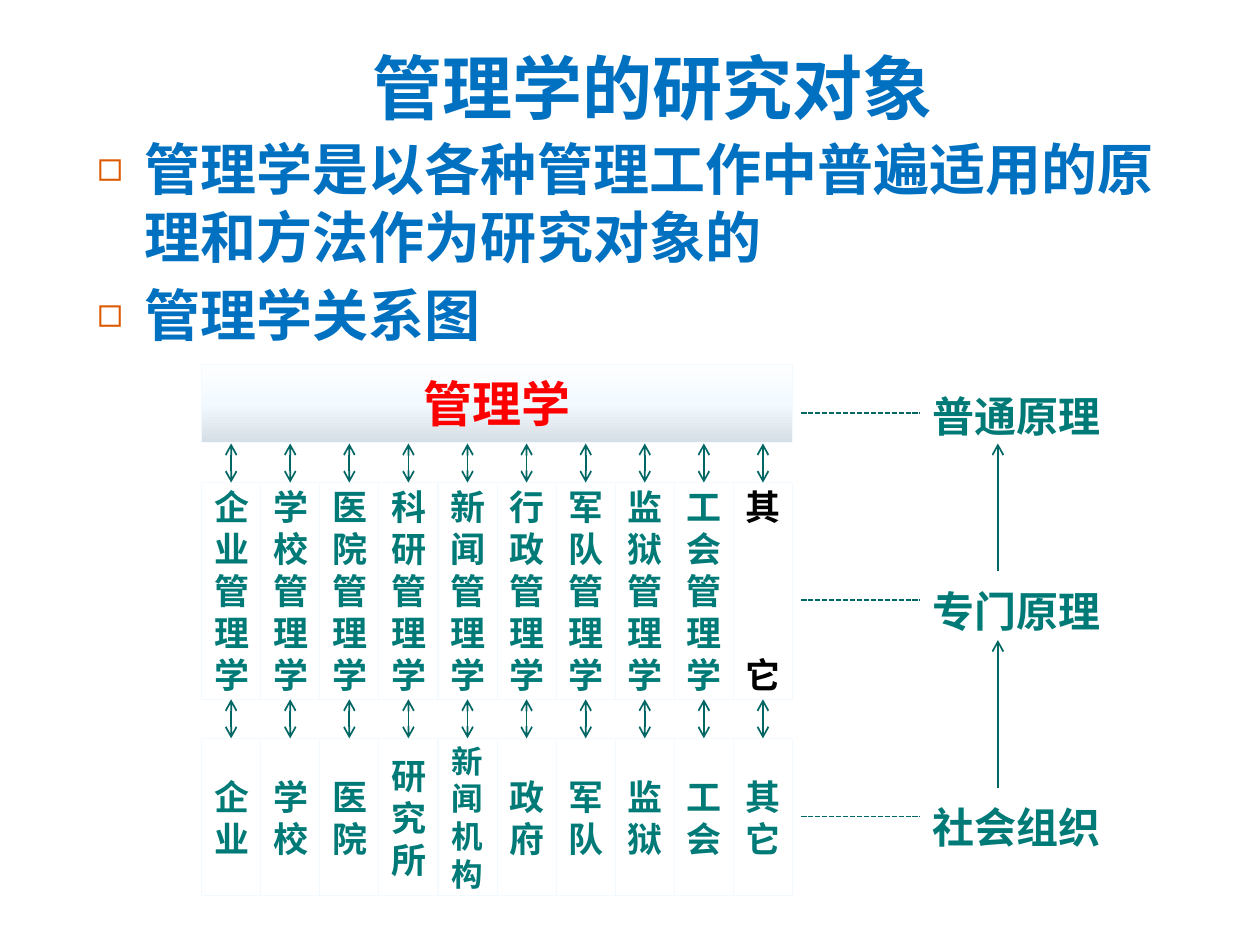
from copy import deepcopy

from lxml import etree
from pptx import Presentation
from pptx.dml.color import RGBColor
from pptx.enum import dml, shapes, text
from pptx.oxml.ns import qn
from pptx.util import Inches, Pt

BLUE = RGBColor(0x00, 0x70, 0xC0)
TEAL = RGBColor(0x00, 0x7A, 0x77)
DARK_TEAL = RGBColor(0x00, 0x67, 0x65)
RED = RGBColor(0xFF, 0x00, 0x00)
BLACK = RGBColor(0x00, 0x00, 0x00)
WHITE = RGBColor(0xFF, 0xFF, 0xFF)
PALE = RGBColor(0xF3, 0xFA, 0xFF)
BAR_STOPS = [(0, RGBColor(0xFD, 0xFE, 0xFF)), (0.5, PALE), (1, RGBColor(0xD6, 0xDF, 0xE5))]
CJK = "Noto Sans CJK SC"
CENTER, LEFT = text.PP_ALIGN.CENTER, text.PP_ALIGN.LEFT


def write(paragraph, words, size, color, align=LEFT, font=CJK):
    """Add one bold run, with a fixed line pitch of 1.2 times its size."""
    paragraph.alignment = align
    paragraph.line_spacing = Pt(round(size * 1.2, 1))
    run = paragraph.add_run()
    run.text = words
    run.font.size, run.font.bold, run.font.name = Pt(size), True, font
    run.font.color.rgb = color
    etree.SubElement(run.font._element, qn("a:ea"), typeface=CJK)


def connect(x1, y1, x2, y2, arrows=(), dash=None):
    """Draw a thin line; arrows names the ends (headEnd, tailEnd) that get a tip."""
    link = slide.shapes.add_connector(
        shapes.MSO_CONNECTOR.STRAIGHT, Inches(x1), Inches(y1), Inches(x2), Inches(y2))
    link.line.color.rgb = DARK_TEAL
    link.line.width = Pt(1)
    if dash:
        link.line.dash_style = dash
    for end in arrows:
        etree.SubElement(link.line._get_or_add_ln(), qn(f"a:{end}"), type="arrow")
    etree.SubElement(link._element.spPr, qn("a:effectLst"))


prs = Presentation()
prs.slide_width, prs.slide_height = Inches(10), Inches(7.5)
slide = prs.slides.add_slide(prs.slide_layouts[1])

# Title and list
title, points = slide.shapes.title, slide.placeholders[1]
title.left, title.top, title.width, title.height = map(Inches, (0.75, 0.3, 8.36, 0.77))
points.left, points.top, points.width, points.height = map(Inches, (0.67, 1.02, 8.66, 1.88))
for holder in (title, points):
    holder.text_frame.auto_size = text.MSO_AUTO_SIZE.NONE
heading = title.text_frame.paragraphs[0]
heading._p.get_or_add_pPr().set("marL", str(Inches(0.5)))
write(heading, "管理学的研究对象", 40, BLUE, CENTER)

for i, point in enumerate(["管理学是以各种管理工作中普遍适用的原理和方法作为研究对象的", "管理学关系图"]):
    item = points.text_frame.add_paragraph() if i else points.text_frame.paragraphs[0]
    props = item._p.get_or_add_pPr()
    props.set("marL", str(Inches(0.38)))
    props.set("indent", str(Inches(-0.38)))
    etree.SubElement(etree.SubElement(props, qn("a:buClr")), qn("a:srgbClr"), val="DC5900")
    etree.SubElement(props, qn("a:buSzPct"), val="75000")
    etree.SubElement(props, qn("a:buChar"), char="◻")
    item.space_before = Pt(6.4 if i else 0)
    write(item, point, 32, BLUE, font="Arial")

# Boxes: one wide bar above two rows of ten cells
GRID_LEFT, CELL_WIDTH = 1.6, 0.469
BAR_TOP, FIELD_TOP, ORG_TOP = 2.89, 3.83, 5.86
BAR_HEIGHT, FIELD_HEIGHT, ORG_HEIGHT = 0.62, 1.72, 1.25
fields = ["企业管理学", "学校管理学", "医院管理学", "科研管理学", "新闻管理学",
          "行政管理学", "军队管理学", "监狱管理学", "工会管理学", "其它"]
organisations = ["企业", "学校", "医院", "研究所", "新闻机构",
                 "政府", "军队", "监狱", "工会", "其它"]

boxes = [(GRID_LEFT, BAR_TOP, 10 * CELL_WIDTH, BAR_HEIGHT, ["管理学"], 28, RED, "Arial")]
for top, height, names in ((FIELD_TOP, FIELD_HEIGHT, fields), (ORG_TOP, ORG_HEIGHT, organisations)):
    for column, name in enumerate(names):
        spread = names is fields and name == "其它"
        boxes.append((GRID_LEFT + column * CELL_WIDTH, top, CELL_WIDTH, height,
                      list(name) if spread else [name], 18 if name == "新闻机构" else 20,
                      BLACK if spread else TEAL, CJK))

for left, top, width, height, parts, size, color, font in boxes:
    box = slide.shapes.add_shape(
        shapes.MSO_SHAPE.RECTANGLE, Inches(left), Inches(top), Inches(width), Inches(height))
    box.shadow.inherit = False
    box.line.color.rgb = PALE
    box.line.width = Pt(0.5)
    if top == BAR_TOP:
        box.fill.gradient()
        box.fill.gradient_angle = 270
        stops = box._element.spPr.find(".//" + qn("a:gsLst"))
        stops.insert(1, deepcopy(stops[0]))
        for stop, (position, shade) in zip(box.fill.gradient_stops, BAR_STOPS):
            stop.position = position
            stop.color.rgb = shade
    else:
        box.fill.solid()
        box.fill.fore_color.rgb = WHITE
    frame = box.text_frame
    frame.word_wrap = True
    frame.vertical_anchor = text.MSO_ANCHOR.MIDDLE
    for i, part in enumerate(parts):
        line = frame.add_paragraph() if i else frame.paragraphs[0]
        if i:
            line.space_before = Pt(72)
        write(line, part, size, color, CENTER, font)

# Two-way arrows between the rows
for top in (FIELD_TOP, ORG_TOP):
    for column in range(10):
        x = GRID_LEFT + (column + 0.5) * CELL_WIDTH
        connect(x, top, x, top - 0.31, ("headEnd", "tailEnd"))

# Levels on the right
for level, top, dash_y in (("普通原理", 3.05, 3.28), ("专门原理", 4.6, 4.76), ("社会组织", 6.31, 6.48)):
    label = slide.shapes.add_textbox(Inches(7.3), Inches(top), Inches(1.8), Inches(0.5))
    label.text_frame.word_wrap = True
    write(label.text_frame.paragraphs[0], level, 24, TEAL)
    connect(6.36, dash_y, 7.3, dash_y, dash=dml.MSO_LINE.SQUARE_DOT)
for bottom, top in ((4.53, 3.52), (6.25, 5.08)):
    connect(7.92, bottom, 7.92, top, ("tailEnd",))

prs.save("out.pptx")
